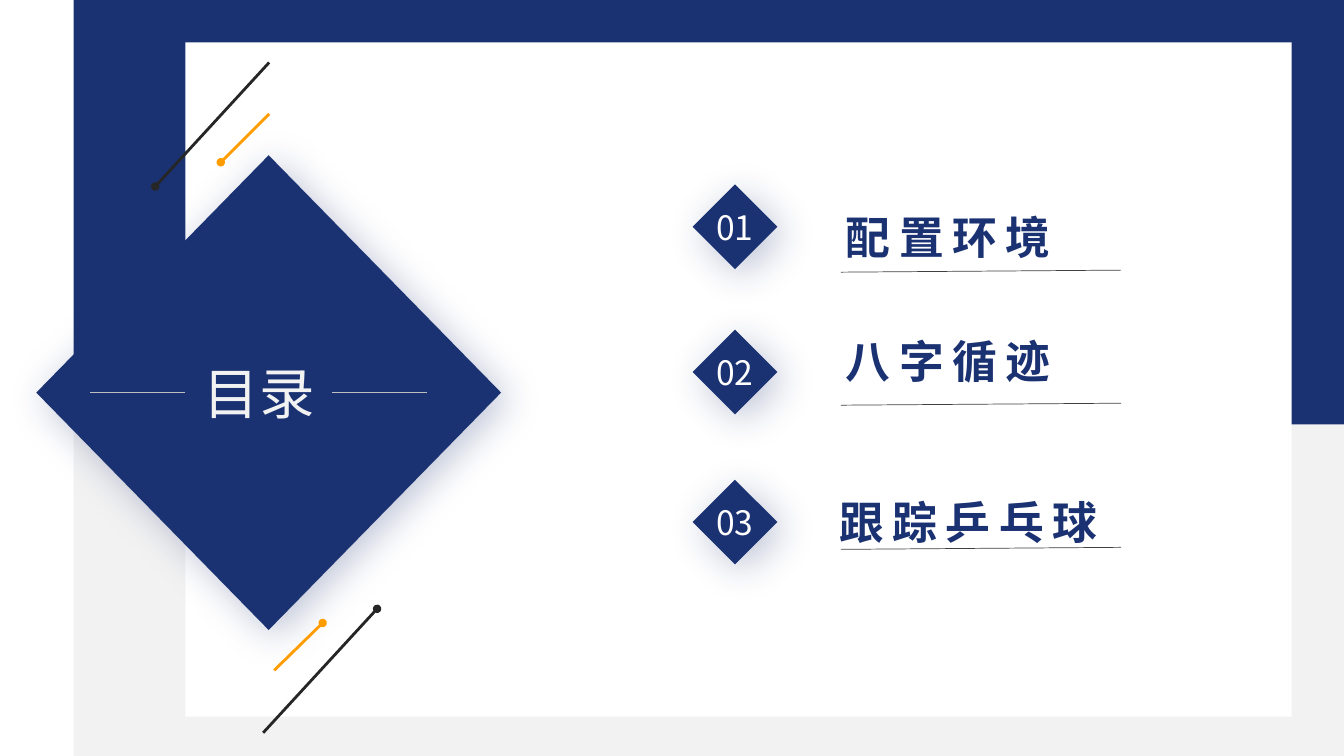
from lxml import etree
from pptx import Presentation
from pptx import util as u
from pptx.dml.color import RGBColor
from pptx.enum import shapes, text
from pptx.oxml import ns

PX = 9144
COLORS = {
    "navy": "1A3172", "white": "FFFFFF", "pale": "F2F2F2", "silver": "BFBFBF",
    "black": "262626", "orange": "FF9C00", "grey": "404040",
}
HAN = "Noto Sans CJK SC"
DIGITS = "Noto Sans CJK JP"


def rgb(name):
    return RGBColor.from_string(COLORS[name])


def add(parent, tag, **attributes):
    return etree.SubElement(parent, ns.qn(tag), attributes)


def write(frame, words, size, color, font=HAN, bold=False, tracking=0,
          line_spacing=1, anchor=text.MSO_ANCHOR.MIDDLE):
    frame.auto_size = text.MSO_AUTO_SIZE.NONE
    frame.word_wrap = False
    frame.vertical_anchor = anchor
    paragraph = frame.paragraphs[0]
    paragraph.alignment = text.PP_ALIGN.CENTER
    paragraph.line_spacing = line_spacing
    run = paragraph.add_run()
    run.text = words
    run.font.size = u.Pt(size)
    run.font.bold = bold
    run.font.name = font
    run.font.color.rgb = rgb(color)
    properties = run.font._element
    properties.set("spc", str(tracking * 100))
    add(properties, "a:ea", typeface=font)


class AgendaSlide:
    def __init__(self, deck):
        self.slide = deck.slides.add_slide(deck.slide_layouts[5])
        self.shapes = self.slide.shapes
        fill = self.slide.background.fill
        fill.solid()
        fill.fore_color.rgb = rgb("pale")

    def shape(self, kind, box, color):
        shape = self.shapes.add_shape(kind, *(n * PX for n in box))
        shape.shadow.inherit = False
        shape.fill.solid()
        shape.fill.fore_color.rgb = rgb(color)
        shape.line.fill.background()
        return shape

    def panel(self, box, color):
        return self.shape(shapes.MSO_SHAPE.RECTANGLE, box, color)

    def diamond(self, box):
        diamond = self.shape(shapes.MSO_SHAPE.DIAMOND, box, "navy")
        effects = diamond._element.spPr.find(ns.qn("a:effectLst"))
        glow = add(effects, "a:outerShdw", blurRad=str(u.Pt(28)),
                   dist=str(u.Pt(7)), dir="2700000", algn="tl", rotWithShape="0")
        tint = add(glow, "a:srgbClr", val=COLORS["navy"])
        add(tint, "a:alpha", val="27000")
        return diamond

    def line(self, start, end, color, width, dot=None):
        line = self.shapes.add_connector(
            shapes.MSO_CONNECTOR.STRAIGHT, *(n * PX for n in start + end))
        line.line.color.rgb = rgb(color)
        line.line.width = u.Pt(width)
        if dot:
            add(line.line._get_or_add_ln(), dot, type="oval")
        add(line._element.spPr, "a:effectLst")

    def title(self, words, box):
        title = self.shapes.title
        title.left, title.top, title.width, title.height = (n * PX for n in box)
        write(title.text_frame, words, 39.6, "pale")
        tree = title._element.getparent()
        tree.append(title._element)

    def label(self, words, box, line_spacing):
        label = self.shapes.add_textbox(*(n * PX for n in box))
        write(label.text_frame, words, 32, "navy", bold=True, tracking=6,
              line_spacing=line_spacing, anchor=text.MSO_ANCHOR.TOP)


def main():
    deck = Presentation()
    deck.slide_width, deck.slide_height = 1333 * PX, 750 * PX
    agenda = AgendaSlide(deck)

    agenda.panel((0, 0, 1333, 421), "navy")
    agenda.panel((0, 0, 73, 750), "white")
    agenda.panel((184, 42, 1097, 669), "white")

    agenda.diamond((36, 154, 461, 471))
    agenda.title("目录", (184, 354, 146, 71))
    for inner, outer in ((184, 89), (329, 424)):
        agenda.line((inner, 389), (outer, 389), "silver", 0.5)

    strokes = (
        ((267, 62), (154, 185), "black", "a:tailEnd"),
        ((267, 113), (219, 161), "orange", "a:tailEnd"),
        ((374, 604), (261, 727), "black", "a:headEnd"),
        ((320, 618), (272, 665), "orange", "a:headEnd"),
    )
    for start, end, color, dot in strokes:
        agenda.line(start, end, color, 2, dot)

    chapters = (
        ("配置环境", 183, (715, 176, 451, 82), 1.5, 270),
        ("八字循迹", 327, (715, 326, 451, 63), 1, 402),
        ("跟踪乒乓球", 476, (735, 486, 451, 61), 1, 545),
    )
    for number, (chapter, top, box, spacing, rule) in enumerate(chapters, 1):
        badge = agenda.diamond((687, top, 84, 84))
        write(badge.text_frame, f"{number:02}", 24, "white", font=DIGITS)
        agenda.label(chapter, box, spacing)
        agenda.line((834, rule), (1112, rule - 2), "grey", 0.5)

    deck.save("out.pptx")


if __name__ == "__main__":
    main()
